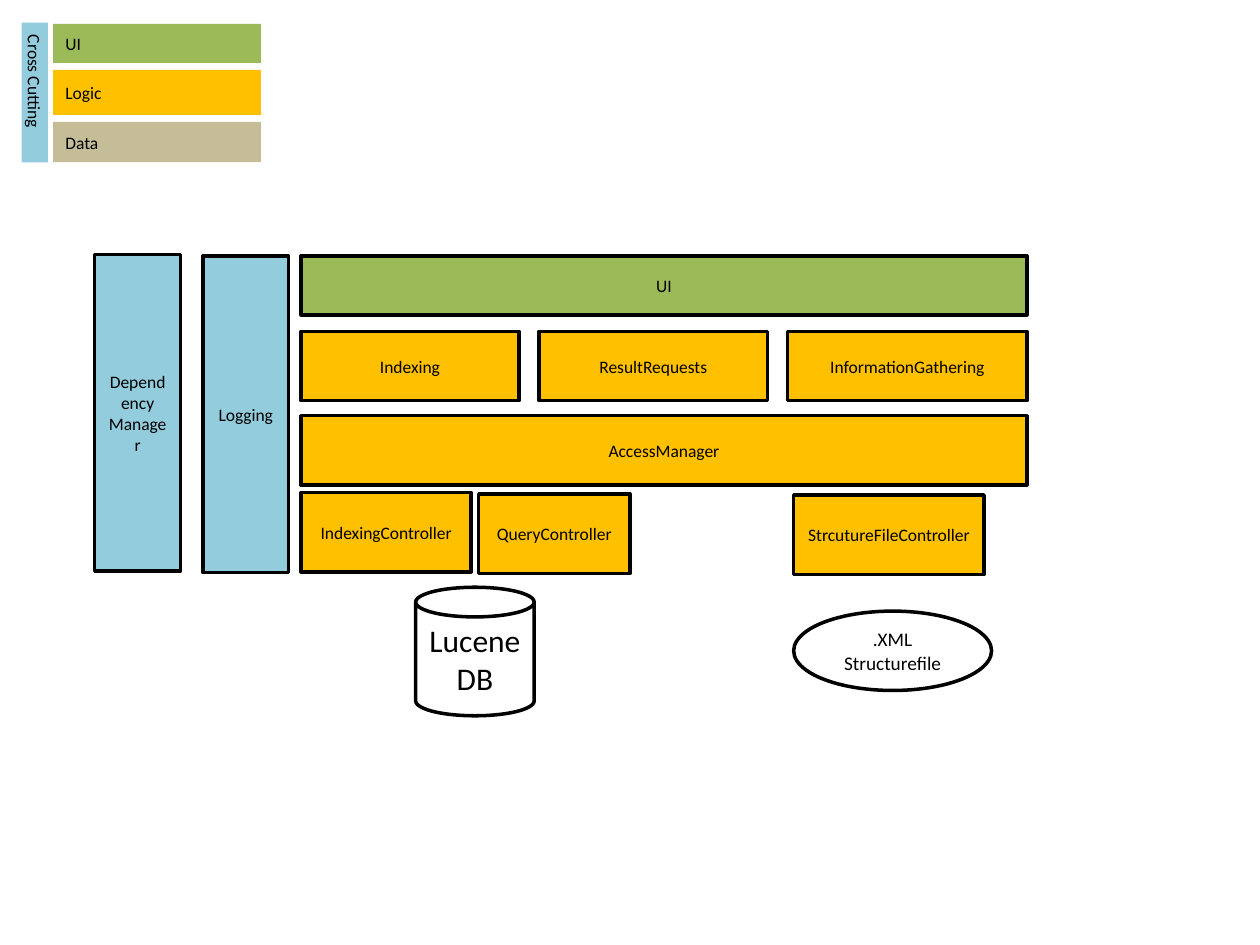
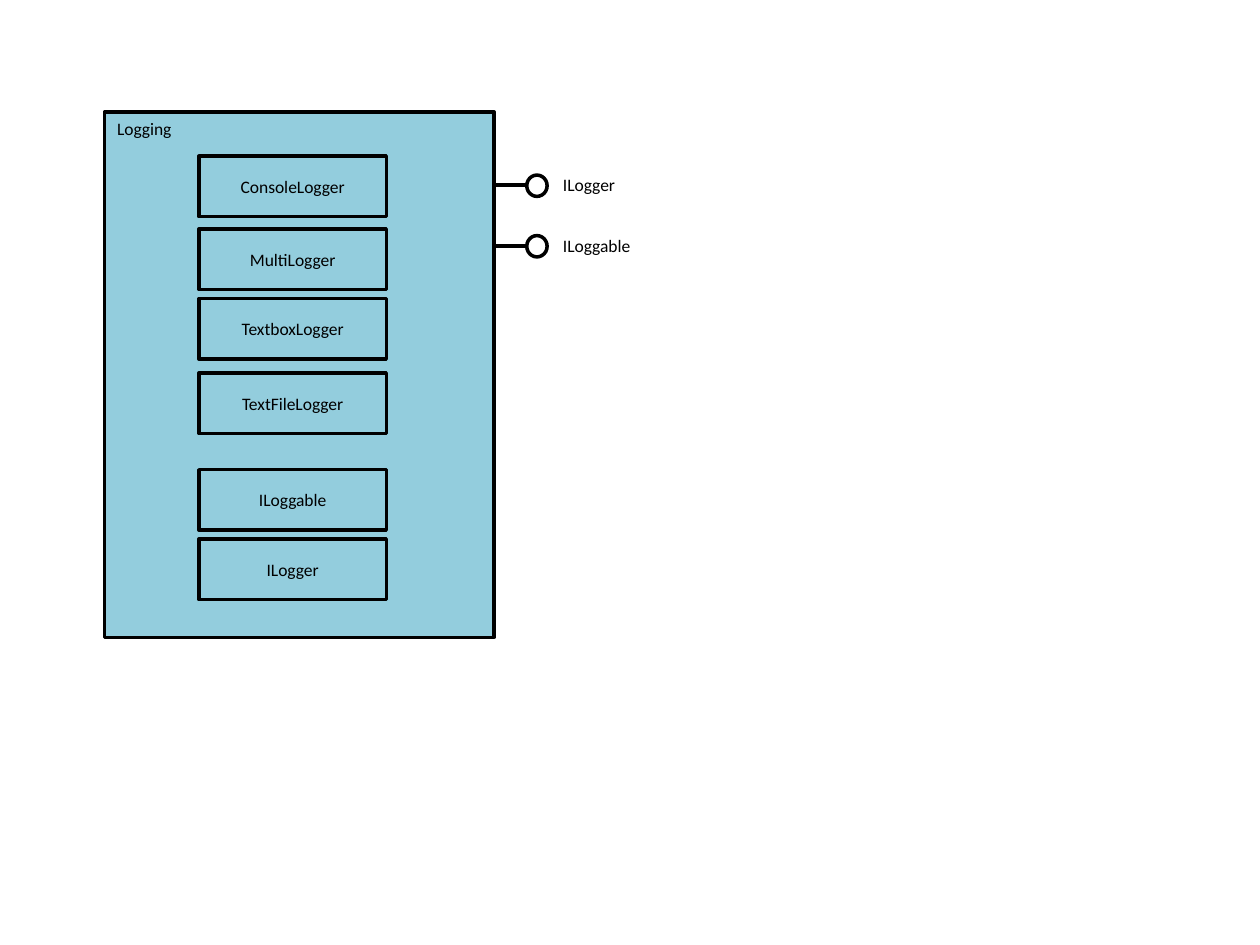
"""Build two architecture slides: the layered system and its logging component."""
from dataclasses import dataclass

from lxml import etree
from pptx import Presentation
from pptx import util as u
from pptx.dml.color import RGBColor
from pptx.enum import shapes, text
from pptx.oxml.ns import qn

KIND = shapes.MSO_SHAPE


@dataclass(frozen=True)
class Theme:
    """Colours, font, type sizes (points) and line widths (points)."""
    ink: str = "000000"
    ui: str = "9BBB59"
    logic: str = "FFC000"
    data: str = "C4BD97"
    cross: str = "93CDDD"
    font: str = "Calibri"
    label: float = 10
    file_label: float = 11
    store_label: float = 18
    outline: float = 2
    connector: float = 2.25


class Diagram:
    """Draws diagram elements on the current slide; lengths are centimetres."""

    def __init__(self, deck, theme):
        self.deck = deck
        self.theme = theme
        self.page = None

    def new_page(self):
        """Start a blank slide."""
        self.page = self.deck.slides.add_slide(self.deck.slide_layouts[6])

    def set_words(self, shape, words, size=None, centred=True):
        """Put words in a shape and format every run."""
        frame = shape.text_frame
        frame.text = words
        for para in frame.paragraphs:
            para.alignment = text.PP_ALIGN.CENTER if centred else text.PP_ALIGN.LEFT
            for span in para.runs:
                span.font.name = self.theme.font
                span.font.size = u.Pt(size or self.theme.label)
                span.font.color.rgb = RGBColor.from_string(self.theme.ink)

    def shape(self, kind, place, fill=None, outlined=True, parent=None):
        """Add a preset shape at (left, top, width, height)."""
        parent = parent or self.page
        shape = parent.shapes.add_shape(kind, *(u.Cm(n) for n in place))
        shape.shadow.inherit = False
        if fill:
            shape.fill.solid()
            shape.fill.fore_color.rgb = RGBColor.from_string(fill)
        else:
            shape.fill.background()
        if outlined:
            shape.line.color.rgb = RGBColor.from_string(self.theme.ink)
            shape.line.width = u.Pt(self.theme.outline)
        else:
            shape.line.fill.background()
        return shape

    def block(self, words, place, fill=None, kind=KIND.RECTANGLE, size=None):
        """Add an outlined shape with centred words."""
        box = self.shape(kind, place, fill)
        box.text_frame.vertical_anchor = text.MSO_ANCHOR.MIDDLE
        self.set_words(box, words, size)

    def legend_key(self, words, place, fill, rotation=0):
        """Add a legend entry: no outline, words at the left."""
        box = self.shape(KIND.RECTANGLE, place, fill, outlined=False)
        box.rotation = rotation
        box.text_frame.vertical_anchor = text.MSO_ANCHOR.MIDDLE
        self.set_words(box, words, centred=False)

    def container(self, words, place, fill):
        """Add a large box with its name in the top left corner."""
        box = self.shape(KIND.RECTANGLE, place, fill)
        box.text_frame.vertical_anchor = text.MSO_ANCHOR.TOP
        self.set_words(box, words, centred=False)

    def interface(self, words, left, middle, label_width):
        """Add a lollipop: a grouped stem and ring, with a name beside it."""
        ring_left = left + 0.69
        group = self.page.shapes.add_group_shape()
        stem = group.shapes.add_connector(
            shapes.MSO_CONNECTOR.STRAIGHT,
            u.Cm(left), u.Cm(middle), u.Cm(ring_left), u.Cm(middle))
        stem.line.color.rgb = RGBColor.from_string(self.theme.ink)
        stem.line.width = u.Pt(self.theme.connector)
        etree.SubElement(stem._element.spPr, qn("a:effectLst"))
        self.shape(KIND.OVAL, (ring_left, middle - 0.2, 0.41, 0.43), parent=group)

        label = self.page.shapes.add_textbox(
            u.Cm(left + 1.17), u.Cm(middle - 0.34), u.Cm(label_width), u.Cm(0.69))
        label.text_frame.word_wrap = False
        label.text_frame.auto_size = text.MSO_AUTO_SIZE.SHAPE_TO_FIT_TEXT
        self.set_words(label, words, centred=False)


def draw_legend(diagram):
    """Draw the colour key in the top left corner."""
    theme = diagram.theme
    diagram.legend_key("Cross Cutting", (-0.71, 1.6, 2.82, 0.53), theme.cross, 90)
    top, gap = 0.48, 0.14
    for words, height, fill in (("UI", 0.79, theme.ui),
                                ("Logic", 0.91, theme.logic),
                                ("Data", 0.81, theme.data)):
        diagram.legend_key(words, (1.07, top, 4.19, height), fill)
        top += height + gap


def draw_layers(diagram):
    """Draw the layered system with its stores and cross-cutting columns."""
    theme = diagram.theme
    left, width = 6.07, 14.63
    diagram.new_page()
    draw_legend(diagram)

    diagram.block("Dependency Manager", (1.91, 5.13, 1.73, 6.38), theme.cross)
    diagram.block("Logging", (4.09, 5.16, 1.73, 6.38), theme.cross)

    diagram.block("UI", (left, 5.16, width, 1.19), theme.ui)
    service_left, gap = left, 0.41
    for words, service_width in (("Indexing", 4.39), ("ResultRequests", 4.6),
                                 ("InformationGathering", 4.82)):
        diagram.block(words, (service_left, 6.68, service_width, 1.4), theme.logic)
        service_left += service_width + gap
    diagram.block("AccessManager", (left, 8.38, width, 1.4), theme.logic)

    for words, *corner, controller_width in (
            ("IndexingController", left, 9.93, 3.43),
            ("QueryController", 9.65, 9.96, 3.05),
            ("StrcutureFileController", 16, 9.98, 3.84)):
        diagram.block(words, (*corner, controller_width, 1.6), theme.logic)

    diagram.block("Lucene DB", (8.38, 11.84, 2.39, 2.59),
                  kind=KIND.CAN, size=theme.store_label)
    diagram.block(".XML\vStructurefile", (16, 12.32, 3.99, 1.6),
                  kind=KIND.OVAL, size=theme.file_label)


def draw_logging(diagram):
    """Draw the logging component, its classes and its interfaces."""
    theme = diagram.theme
    diagram.new_page()
    diagram.container("Logging", (2.11, 2.26, 7.85, 10.59), theme.cross)
    for words, top in (("ConsoleLogger", 3.15), ("MultiLogger", 4.62),
                       ("TextboxLogger", 6.02), ("TextFileLogger", 7.52),
                       ("ILoggable", 9.47), ("ILogger", 10.87)):
        diagram.block(words, (4.01, top, 3.78, 1.22), theme.cross)
    diagram.interface("ILogger", 9.93, 3.73, 1.57)
    diagram.interface("ILoggable", 9.93, 4.95, 1.91)


def main():
    """Build and save the deck."""
    deck = Presentation()
    deck.slide_width, deck.slide_height = u.Cm(25.4), u.Cm(19.05)
    diagram = Diagram(deck, Theme())
    draw_layers(diagram)
    draw_logging(diagram)
    deck.save("out.pptx")


main()
